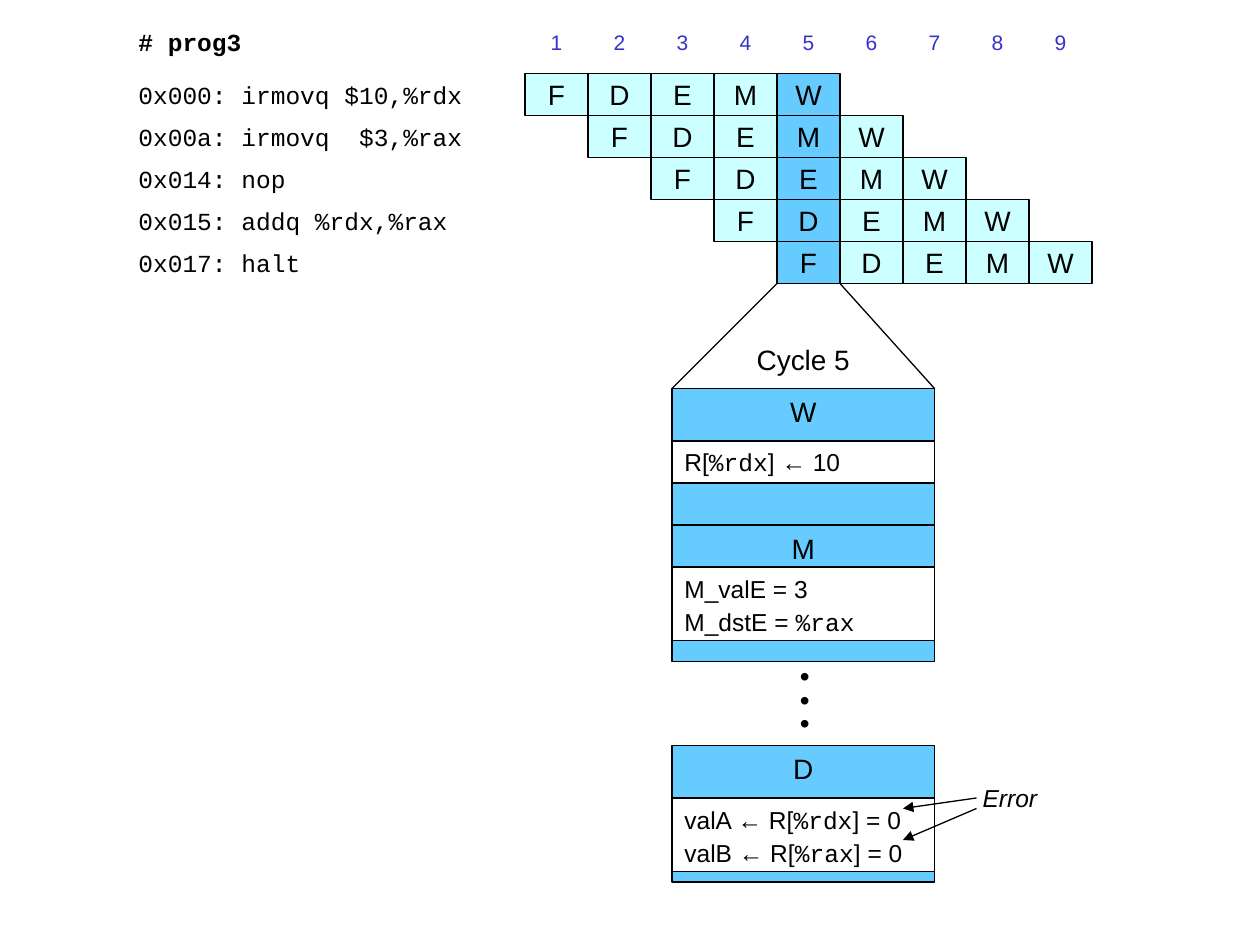
"""Build the pipeline diagram of prog3 with its cycle 5 detail."""
from dataclasses import dataclass

from lxml import etree
from pptx import Presentation
from pptx.dml.color import RGBColor
from pptx.enum.shapes import MSO_CONNECTOR, MSO_SHAPE
from pptx.enum.text import MSO_ANCHOR, PP_ALIGN
from pptx.oxml.ns import qn
from pptx.util import Inches, Pt

RECTANGLE = MSO_SHAPE.RECTANGLE
STRAIGHT = MSO_CONNECTOR.STRAIGHT
TOP, MIDDLE = MSO_ANCHOR.TOP, MSO_ANCHOR.MIDDLE
LEFT, CENTER = PP_ALIGN.LEFT, PP_ALIGN.CENTER


@dataclass(frozen=True)
class Theme:
    """Colours, fonts and type sizes in points."""
    ink: str = "000000"
    paper: str = "FFFFFF"
    number: str = "3333CC"
    stage: str = "CCFFFF"
    active: str = "66CCFF"
    sans: str = "Arial"
    mono: str = "Courier New"
    small: int = 12
    body: int = 14
    large: int = 16
    thin: float = 0.75
    line: float = 1


THEME = Theme()
GRID = Inches(1) / 12
CELL_WIDTH, CELL_HEIGHT = 6, 4
CODE_LEFT, CODE_WIDTH = 12, 34
STAGES_LEFT, STAGES_TOP, HEADER_TOP = 50, 7, 2
PANEL_LEFT, PANEL_WIDTH, PANEL_HEIGHT = 64, 25, 13
STAGES = "FDEMW"
CYCLES = 9
ACTIVE_CYCLE = 5
PROGRAM = ["0x000: irmovq $10,%rdx", "0x00a: irmovq  $3,%rax", "0x014: nop",
           "0x015: addq %rdx,%rax", "0x017: halt"]
PANELS = [
    ("W", 37, 5, 4, [["R[", "%rdx", "] ← 10"]]),
    ("M", 50, 4, 7, [["M_valE = 3"], ["M_dstE = ", "%rax"]]),
    ("D", 71, 5, 7, [["valA ← R[", "%rdx", "] = 0"],
                     ["valB ← R[", "%rax", "] = 0"]]),
]


def units(*values):
    """Turn grid units into slide lengths."""
    return [round(value * GRID) for value in values]


def write(shape, lines, size=THEME.body, color=THEME.ink, font=THEME.sans,
          align=LEFT, anchor=MIDDLE, spacing=None, bold=False, italic=False):
    """Write lines of runs, with register names in the mono font."""
    frame = shape.text_frame
    frame.word_wrap = False
    frame.vertical_anchor = anchor
    for index, line in enumerate(lines):
        para = frame.add_paragraph() if index else frame.paragraphs[0]
        para.alignment = align
        if spacing:
            para.line_spacing = spacing
        for text in line:
            span = para.add_run()
            span.text = text
            span.font.name = THEME.mono if text.startswith("%") else font
            span.font.size = Pt(size)
            span.font.color.rgb = RGBColor.from_string(color)
            span.font.bold = bold
            span.font.italic = italic


def add_box(page, place, lines, fill=THEME.paper, border=None, **style):
    """Add a filled rectangle with text."""
    box = page.shapes.add_shape(RECTANGLE, *units(*place))
    box.shadow.inherit = False
    box.fill.solid()
    box.fill.fore_color.rgb = RGBColor.from_string(fill)
    if border:
        box.line.color.rgb = RGBColor.from_string(THEME.ink)
        box.line.width = Pt(border)
    else:
        box.line.fill.background()
    write(box, lines, **style)


def add_label(page, place, lines, **style):
    """Add free text without a fill."""
    label = page.shapes.add_textbox(*units(*place))
    write(label, lines, anchor=TOP, **style)


def add_line(page, start, end, arrow=False):
    """Add a thin straight line, with an arrowhead at its end if asked."""
    line = page.shapes.add_connector(STRAIGHT, *units(*start, *end))
    line.line.color.rgb = RGBColor.from_string(THEME.ink)
    line.line.width = Pt(THEME.thin)
    if arrow:
        etree.SubElement(line.line._get_or_add_ln(), qn("a:tailEnd"), type="triangle")
    etree.SubElement(line._element.spPr, qn("a:effectLst"))


def add_code(page, top, text, bold=False):
    """Add one line of the program listing."""
    add_box(page, (CODE_LEFT, top, CODE_WIDTH, CELL_HEIGHT), [[text]],
            font=THEME.mono, bold=bold)


def add_cell(page, cycle, top, text, **style):
    """Add one cell in the column of a cycle."""
    left = STAGES_LEFT + (cycle - 1) * CELL_WIDTH
    add_box(page, (left, top, CELL_WIDTH, CELL_HEIGHT), [[text]], align=CENTER, **style)


def add_pipeline(page):
    """Add the listing, the cycle numbers and the staggered stages."""
    add_code(page, HEADER_TOP, "# prog3", bold=True)
    for cycle in range(1, CYCLES + 1):
        add_cell(page, cycle, HEADER_TOP, str(cycle), size=THEME.small, color=THEME.number)
    for row, instruction in enumerate(PROGRAM):
        top = STAGES_TOP + row * CELL_HEIGHT
        add_code(page, top, instruction)
        for cycle, stage in enumerate(STAGES, start=row + 1):
            fill = THEME.active if cycle == ACTIVE_CYCLE else THEME.stage
            add_cell(page, cycle, top, stage, size=THEME.large, fill=fill, border=THEME.line)


def add_panel(page, stage, top, header, height, lines):
    """Add a stage panel with its values in a white strip."""
    add_box(page, (PANEL_LEFT, top, PANEL_WIDTH, PANEL_HEIGHT), [[stage]],
            fill=THEME.active, border=THEME.thin, size=THEME.large,
            align=CENTER, anchor=TOP)
    add_box(page, (PANEL_LEFT, top + header, PANEL_WIDTH, height), lines,
            border=THEME.line, spacing=1.1 if len(lines) > 1 else None)


def add_detail(page):
    """Add the enlarged view of the active cycle."""
    left = STAGES_LEFT + (ACTIVE_CYCLE - 1) * CELL_WIDTH
    bottom = STAGES_TOP + len(PROGRAM) * CELL_HEIGHT
    panel_top = PANELS[0][1]
    add_line(page, (left, bottom), (PANEL_LEFT, panel_top))
    add_line(page, (left + CELL_WIDTH, bottom), (PANEL_LEFT + PANEL_WIDTH, panel_top))
    add_label(page, (PANEL_LEFT, 32, PANEL_WIDTH, 4.4), [[f"Cycle {ACTIVE_CYCLE}"]],
              size=THEME.large, align=CENTER)
    for panel in PANELS:
        add_panel(page, *panel)
    add_label(page, (75, 63, 3.4, 8), [["•"]] * 3, size=THEME.large, spacing=0.7)
    add_label(page, (92.4, 74, 7.6, 4), [["Error"]], italic=True)
    for start, end in ((76, 77), (77, 80)):
        add_line(page, (93, start), (86, end), arrow=True)


def main():
    """Build and save the slide."""
    deck = Presentation()
    deck.slide_width, deck.slide_height = Inches(10), Inches(7.5)
    page = deck.slides.add_slide(deck.slide_layouts[6])
    add_pipeline(page)
    add_detail(page)
    deck.save("out.pptx")


if __name__ == "__main__":
    main()
